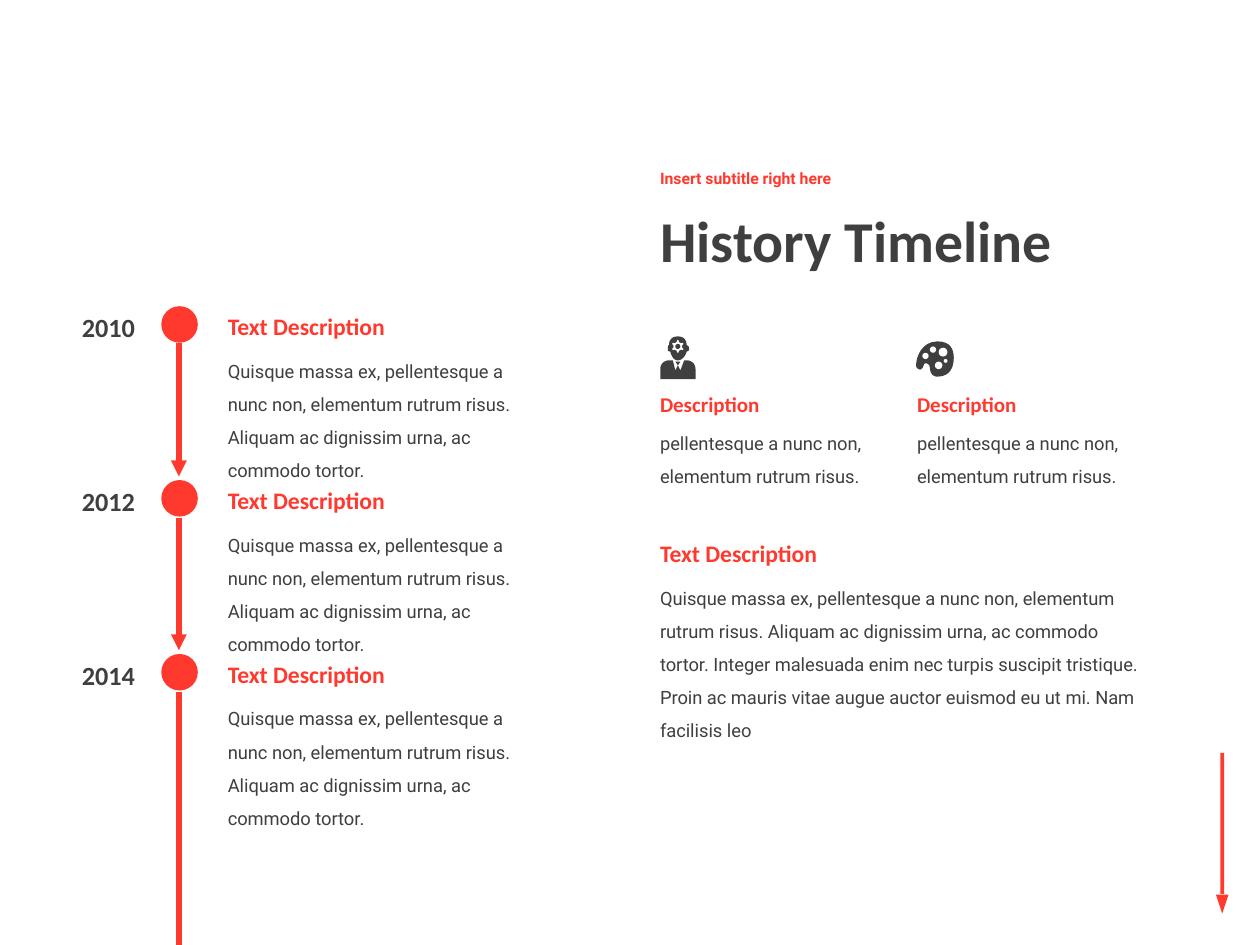
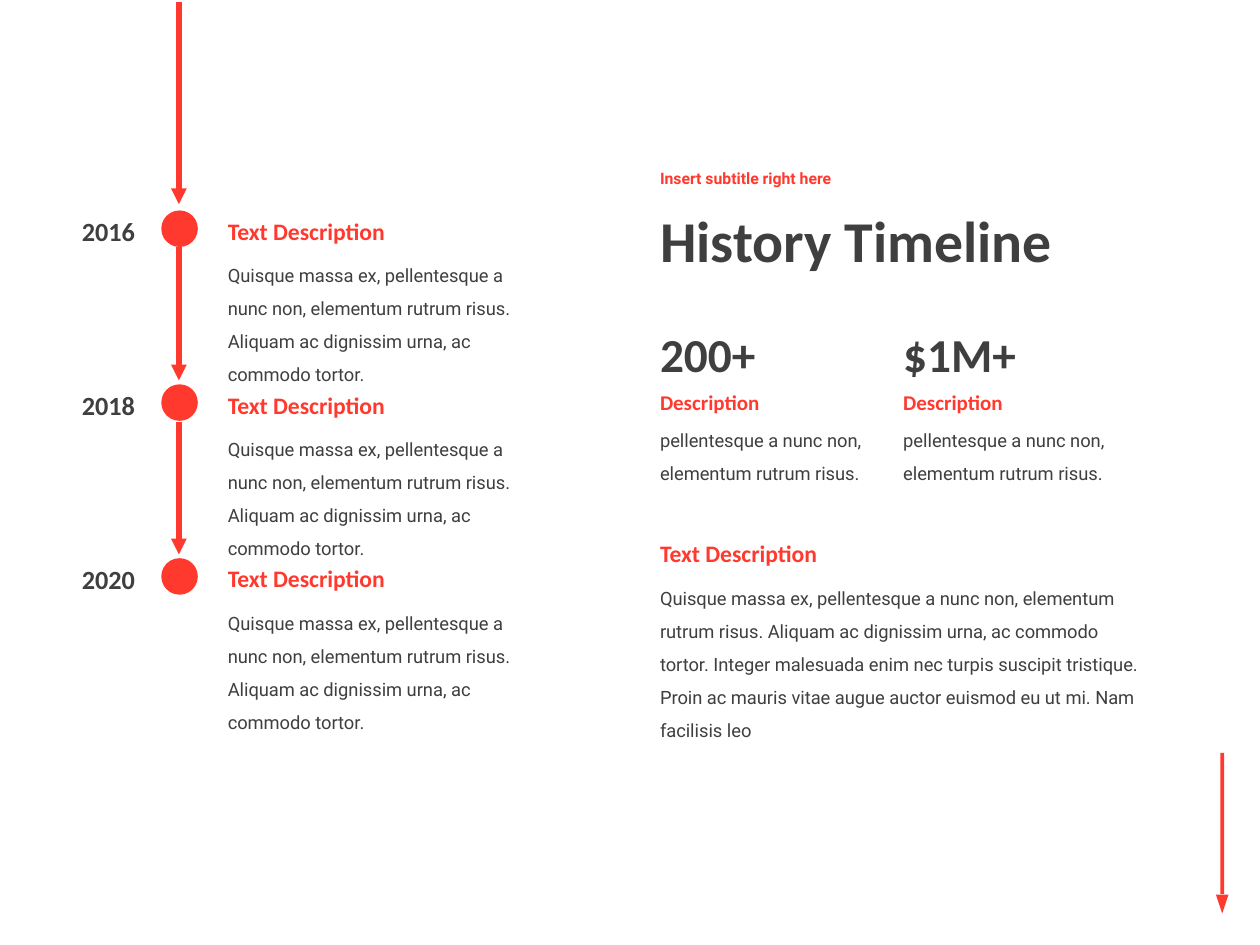
"""Build two history timeline slides."""
from pptx import Presentation
from pptx.dml.color import RGBColor as RGB
from pptx.enum.shapes import MSO_CONNECTOR, MSO_SHAPE
from pptx.enum.text import MSO_ANCHOR, MSO_AUTO_SIZE, PP_ALIGN
from pptx.oxml.ns import qn
from pptx.util import Inches, Pt
from lxml.etree import SubElement

COLORS = {"red": "FF392E", "dark": "3F3F3F", "white": "FFFFFF"}
HEAD, BODY = "Calibri", "Roboto"
SHORT = "pellentesque a nunc non, elementum rutrum risus."
MEDIUM = f"Quisque massa ex, {SHORT} Aliquam ac dignissim urna, ac commodo tortor."
LONG = (f"{MEDIUM} Integer malesuada enim nec turpis suscipit tristique. "
        "Proin ac mauris vitae augue auctor euismod eu ut mi. Nam facilisis leo")

LEFT = 5.14
AXIS = 1.42
DOT = 0.29
PITCH = 1.38

SLIDES = [
    {"years": ["2010", "2012", "2014"], "top": 2.43, "label_top": 3.06,
     "columns": [5.14, 7.18], "figures": [],
     "arrows": [(2.72, 3.78, True), (4.11, 5.16, True), (5.49, 7.5, False)]},
    {"years": ["2016", "2018", "2020"], "top": 1.67, "label_top": 3.04,
     "columns": [5.14, 7.07], "figures": ["200+", "$1M+"],
     "arrows": [(0.02, 1.62, True), (1.96, 3.02, True), (3.35, 4.4, True)]},
]

BUST = [(5.45, 2.86), (5.43, 2.86), (5.4, 2.94), (5.38, 2.9), (5.4, 2.87),
        (5.36, 2.87), (5.38, 2.9), (5.36, 2.94), (5.34, 2.86), (5.31, 2.86),
        (5.27, 2.86, 5.24, 2.89, 5.24, 2.93), (5.24, 3.01), (5.52, 3.01),
        (5.52, 2.93), (5.52, 2.89, 5.49, 2.86, 5.45, 2.86)]
FACE = [(5.45, 2.74), (5.45, 2.69, 5.42, 2.67, 5.38, 2.67),
        (5.34, 2.67, 5.31, 2.69, 5.31, 2.74), (5.3, 2.74, 5.3, 2.75, 5.3, 2.77),
        (5.3, 2.78, 5.3, 2.79, 5.32, 2.79), (5.33, 2.83, 5.35, 2.86, 5.38, 2.86),
        (5.41, 2.86, 5.44, 2.83, 5.45, 2.79), (5.46, 2.79, 5.47, 2.78, 5.47, 2.77),
        (5.47, 2.75, 5.46, 2.74, 5.45, 2.74)]
PALETTE = [(7.44, 2.71), (7.32, 2.71, 7.27, 2.83, 7.27, 2.9),
           (7.27, 2.92, 7.31, 2.96, 7.33, 2.9), (7.33, 2.87, 7.38, 2.88, 7.38, 2.92),
           (7.38, 2.96, 7.4, 2.99, 7.44, 2.99), (7.55, 2.99, 7.57, 2.9, 7.57, 2.84),
           (7.57, 2.78, 7.55, 2.71, 7.44, 2.71)]
PAINT_WELLS = [(7.32, 2.8, 0.05), (7.38, 2.75, 0.05), (7.42, 2.87, 0.06),
               (7.49, 2.85, 0.03), (7.45, 2.76, 0.07)]


def add_text(s, box, text, size, color, font=HEAD, bold=True, spacing=None, align=None):
    sp = s.shapes.add_textbox(*map(Inches, box))
    tf = sp.text_frame
    tf.word_wrap = True
    tf.auto_size = MSO_AUTO_SIZE.SHAPE_TO_FIT_TEXT
    tf.text = text
    p = tf.paragraphs[0]
    p.line_spacing, p.alignment = spacing, align
    r = p.runs[0]
    r.font.name, r.font.size, r.font.bold = font, Pt(size), bold
    r.font.color.rgb = RGB.from_string(COLORS[color])
    return sp


def add_filled(s, kind, box, color, rotation=0):
    if isinstance(kind, list):
        points = [kind[0]]
        for seg in kind[1:]:
            if len(seg) == 2:
                points.append(seg)
                continue
            x0, y0 = points[-1]
            x1, y1, x2, y2, x3, y3 = seg
            for t in (i / 8 for i in range(1, 9)):
                a, b, c, d = (1 - t) ** 3, 3 * t * (1 - t) ** 2, 3 * t * t * (1 - t), t ** 3
                points.append((a * x0 + b * x1 + c * x2 + d * x3,
                               a * y0 + b * y1 + c * y2 + d * y3))
        points = [(Inches(x), Inches(y)) for x, y in points]
        outline = s.shapes.build_freeform(*points[0])
        outline.add_line_segments(points[1:])
        sp = outline.convert_to_shape()
    else:
        sp = s.shapes.add_shape(kind, *map(Inches, box))
    sp.shadow.inherit = False
    sp.fill.solid()
    sp.fill.fore_color.rgb = RGB.from_string(COLORS[color])
    sp.line.fill.background()
    sp.rotation = rotation
    return sp


prs = Presentation()
prs.slide_width, prs.slide_height = Inches(10), Inches(7.5)

for data in SLIDES:
    s = prs.slides.add_slide(prs.slide_layouts[5])

    title = s.shapes.title
    title.left, title.top, title.width, title.height = map(Inches, (LEFT, 1.42, 5.63, 1.03))
    tf = title.text_frame
    tf.text = "History Timeline"
    tf.auto_size = MSO_AUTO_SIZE.NONE
    tf.vertical_anchor = MSO_ANCHOR.MIDDLE
    p = tf.paragraphs[0]
    p.alignment, p.line_spacing = PP_ALIGN.LEFT, 0.9
    r = p.runs[0]
    r.font.name, r.font.size, r.font.bold = HEAD, Pt(33), True
    r.font.color.rgb = RGB.from_string(COLORS["dark"])

    subtitle = add_text(s, (LEFT, 1.23, 5.63, 0.38), "Insert subtitle right here",
                        9, "red", BODY, spacing=0.9)
    subtitle.text_frame.auto_size = MSO_AUTO_SIZE.NONE
    subtitle.text_frame.vertical_anchor = MSO_ANCHOR.MIDDLE

    add_filled(s, MSO_SHAPE.RECTANGLE, (9.14, 6.52, 1.12, 0.03), "red", 90)
    add_filled(s, MSO_SHAPE.ISOSCELES_TRIANGLE, (9.65, 7.1, 0.1, 0.15), "red", 180)
    add_filled(s, MSO_SHAPE.RECTANGLE, (0, 0, 4.76, 7.5), "white")

    for i, year in enumerate(data["years"]):
        top = data["top"] + i * PITCH
        add_filled(s, MSO_SHAPE.OVAL, (1.28, top, DOT, DOT), "red")
        add_text(s, (0.43, top - 0.01, 0.74, 0.35), year, 15, "dark", align=PP_ALIGN.RIGHT)
        add_text(s, (1.71, top + DOT, 2.6, 0.87), MEDIUM, 10.5, "dark", BODY, False, 1.5)
        add_text(s, (1.71, top, 2.19, 0.33), "Text Description", 13.5, "red")

    for start, end, has_head in data["arrows"]:
        line = s.shapes.add_connector(MSO_CONNECTOR.STRAIGHT, Inches(AXIS), Inches(start),
                                      Inches(AXIS), Inches(end))
        line.line.color.rgb = RGB.from_string(COLORS["red"])
        line.line.width = Pt(3)
        if has_head:
            SubElement(line.line._get_or_add_ln(), qn("a:tailEnd"), type="triangle")
        SubElement(line._element.spPr, qn("a:effectLst"))

    for x in data["columns"]:
        add_text(s, (x, data["label_top"] + 0.23, 1.89, 0.6), SHORT, 10.5, "dark", BODY, False, 1.5)
        add_text(s, (x, data["label_top"], 1.5, 0.3), "Description", 12, "red")

    for x, figure in zip(data["columns"], data["figures"]):
        add_text(s, (x, 2.53, 1.5, 0.56), figure, 27, "dark")

    if not data["figures"]:
        add_filled(s, BUST, None, "dark")
        add_filled(s, FACE, None, "dark")
        add_filled(s, MSO_SHAPE.GEAR_6, (5.33, 2.7, 0.1, 0.1), "white")
        add_filled(s, MSO_SHAPE.OVAL, (5.36, 2.73, 0.04, 0.04), "dark")
        add_filled(s, PALETTE, None, "dark", 359.1)
        for x, y, size in PAINT_WELLS:
            add_filled(s, MSO_SHAPE.OVAL, (x, y, size, size), "white")

    add_text(s, (LEFT, 4.52, 4, 1.13), LONG, 10.5, "dark", BODY, False, 1.5)
    add_text(s, (LEFT, 4.23, 2.19, 0.33), "Text Description", 13.5, "red")

prs.save("out.pptx")
